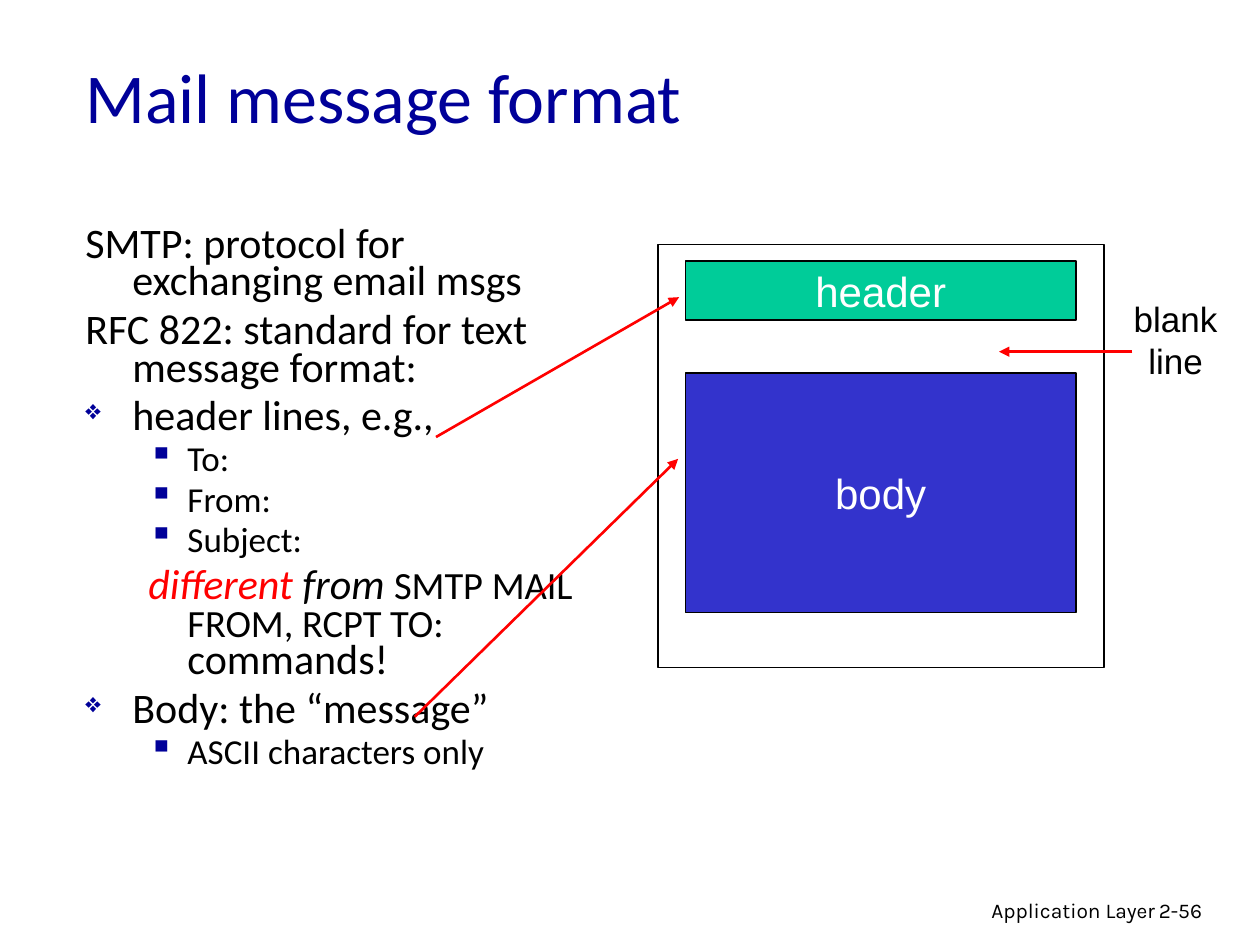
from lxml import etree
from pptx import Presentation
from pptx.dml.color import RGBColor
from pptx.enum import shapes, text
from pptx.oxml import ns
from pptx.util import Cm, Pt

COLOURS = {"navy": "000099", "black": "000000", "red": "FF0000", "white": "FFFFFF",
           "green": "00CC99", "blue": "3333CC"}
LEFT, CENTER, RIGHT = text.PP_ALIGN.LEFT, text.PP_ALIGN.CENTER, text.PP_ALIGN.RIGHT
TOP, MIDDLE = text.MSO_ANCHOR.TOP, text.MSO_ANCHOR.MIDDLE
FIXED, GROW = text.MSO_AUTO_SIZE.NONE, text.MSO_AUTO_SIZE.SHAPE_TO_FIT_TEXT


def style(font, size, colour, name=None):
    font.size = Pt(size)
    font.color.rgb = RGBColor.from_string(COLOURS[colour])
    if name:
        font.name = name


def add(parent, tag, **attributes):
    return etree.SubElement(parent, ns.qn(tag), **attributes)


deck = Presentation()
deck.slide_width, deck.slide_height = Cm(25.4), Cm(19.05)
slide = deck.slides.add_slide(deck.slide_layouts[6])

labels = [
    (["Application Layer"], (15.49, 17.96, 8.05, 0.79), 12, "Karla", "black", RIGHT, TOP, True),
    (["2-56"], (23.11, 17.96, 1.88, 0.76), 12, "Karla", "black", LEFT, TOP, True),
    (["Mail message format"], (1.47, 0.33, 21.59, 3.18), 40, "Calibri", "navy", LEFT, MIDDLE, True),
    (["blank", "line"], (22.56, 5.87, 2.28, 1.96), 20, "Arial", "black", CENTER, TOP, False),
]
for lines, place, size, face, colour, align, anchor, wrap in labels:
    frame = slide.shapes.add_textbox(*map(Cm, place)).text_frame
    frame.word_wrap, frame.vertical_anchor = wrap, anchor
    frame.auto_size = FIXED if wrap else GROW
    frame.text = "\n".join(lines)
    for paragraph in frame.paragraphs:
        paragraph.alignment = align
        style(paragraph.font, size, colour, face)

LEVELS = {"plain": (0.95, -0.95, 6, None, None),
          "point": (0.95, -0.95, 6, "❖", "65000"),
          "item": (2.06, -0.79, 5, "▪", "100000"),
          "remark": (2.06, -0.79, 6, None, None)}
outline = [
    ("plain", [("SMTP: protocol for exchanging email msgs", 24, "black", False)]),
    ("plain", [("RFC 822: standard for text message format:", 24, "black", False)]),
    ("point", [("header lines, e.g.,", 24, "black", False)]),
    ("item", [("To:", 20, "black", False)]),
    ("item", [("From:", 20, "black", False)]),
    ("item", [("Subject:", 20, "black", False)]),
    ("remark", [("different ", 24, "red", True), ("from ", 24, "black", True),
                ("SMTP MAIL FROM, RCPT TO:", 22, "black", False),
                (" commands!", 24, "black", False)]),
    ("point", [("Body: the “message”", 24, "black", False)]),
    ("item", [("ASCII characters only", 20, "black", False)]),
]
notes = slide.shapes.add_textbox(Cm(1.47), Cm(4.47), Cm(10.59), Cm(12.9)).text_frame
notes.word_wrap = True
for index, (level, pieces) in enumerate(outline):
    paragraph = notes.add_paragraph() if index else notes.paragraphs[0]
    margin, indent, before, bullet, bullet_size = LEVELS[level]
    paragraph.level = int(level in ("item", "remark"))
    paragraph.line_spacing, paragraph.space_before = 0.75, Pt(before)
    properties = paragraph._p.get_or_add_pPr()
    properties.set("marL", str(Cm(margin)))
    properties.set("indent", str(Cm(indent)))
    if bullet:
        add(add(properties, "a:buClr"), "a:srgbClr", val=COLOURS["navy"])
        add(properties, "a:buSzPct", val=bullet_size)
        add(properties, "a:buChar", char=bullet)
    else:
        add(properties, "a:buNone")
    paragraph.font.name = "Calibri"
    if len(pieces) == 1:
        style(paragraph.font, *pieces[0][1:3])
    for words, size, colour, italic in pieces:
        run = paragraph.add_run()
        run.text = words
        if len(pieces) > 1:
            style(run.font, size, colour)
            run.font.italic = italic

message_parts = [
    ("header", (13.82, 5.26, 7.87, 1.19), "green", 0.75),
    ("body", (13.82, 7.52, 7.87, 4.83), "blue", 0.75),
    ("", (13.26, 4.93, 8.99, 8.53), None, 1),
]
for name, place, colour, weight in message_parts:
    part = slide.shapes.add_shape(shapes.MSO_SHAPE.RECTANGLE, *map(Cm, place))
    part.shadow.inherit = False
    part.line.color.rgb = RGBColor.from_string(COLOURS["black"])
    part.line.width = Pt(weight)
    if colour:
        part.fill.solid()
        part.fill.fore_color.rgb = RGBColor.from_string(COLOURS[colour])
    else:
        part.fill.background()
    if name:
        part.text_frame.text = name
        part.text_frame.word_wrap = False
        part.text_frame.vertical_anchor = MIDDLE
        paragraph = part.text_frame.paragraphs[0]
        paragraph.alignment = CENTER
        style(paragraph.font, 24, "white", "Arial")

arrows = [(8.79, 8.81, 13.69, 5.99), (8.36, 14.45, 13.67, 9.25), (22.83, 7.09, 20.14, 7.09)]
for ends in arrows:
    arrow = slide.shapes.add_connector(shapes.MSO_CONNECTOR.STRAIGHT, *map(Cm, ends))
    arrow.line.color.rgb = RGBColor.from_string(COLOURS["red"])
    arrow.line.width = Pt(1.5)
    add(arrow.line._get_or_add_ln(), "a:tailEnd", type="triangle")
    add(arrow._element.spPr, "a:effectLst")

deck.save("out.pptx")
